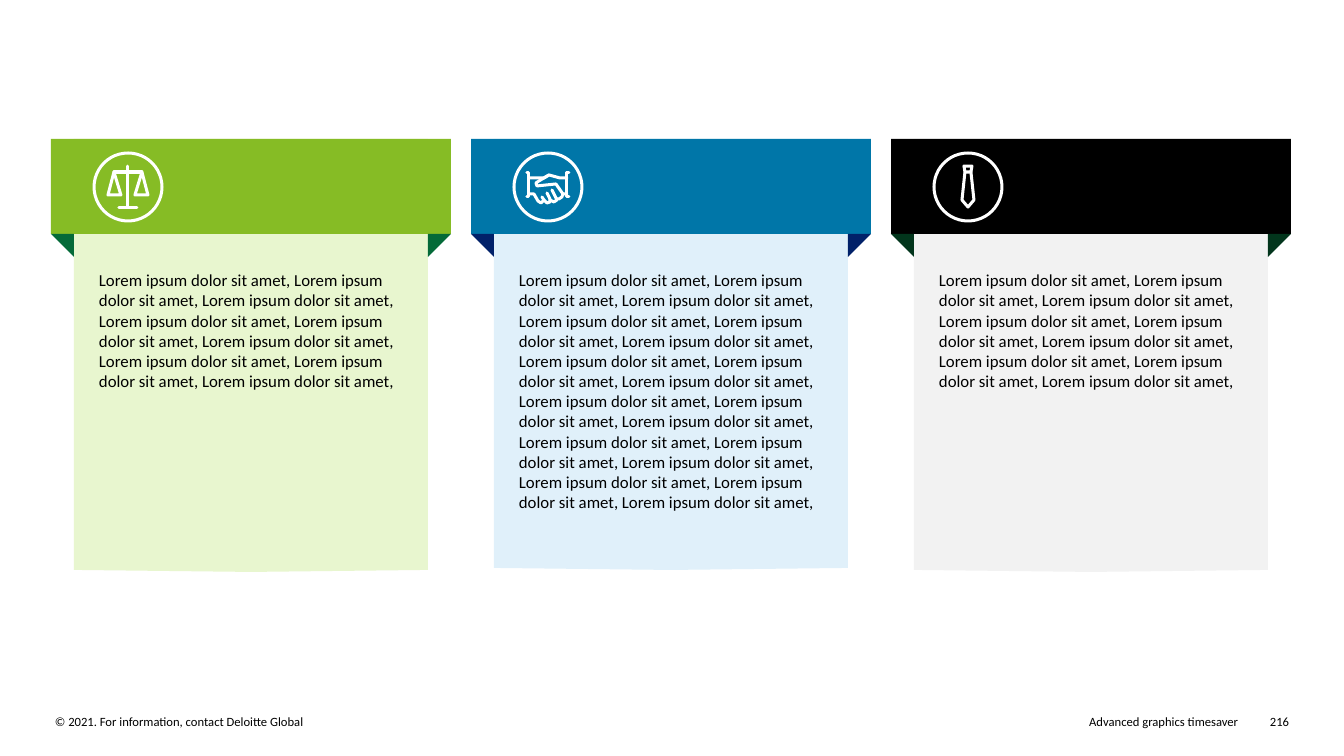
"""Build a slide of three ribbon cards, each with an icon and a block of text."""
from lxml import etree
from pptx import Presentation
from pptx.dml.color import RGBColor
from pptx.enum.shapes import MSO_SHAPE
from pptx.enum.text import PP_ALIGN
from pptx.oxml.ns import qn
from pptx.util import Pt

RECTANGLE, TRIANGLE, OVAL = MSO_SHAPE.RECTANGLE, MSO_SHAPE.RIGHT_TRIANGLE, MSO_SHAPE.OVAL
LEFT, RIGHT = PP_ALIGN.LEFT, PP_ALIGN.RIGHT
SCALE = 9071

THEME = {
    "font": "Calibri",
    "text": "000000",
    "icon": "FFFFFF",
    "body_size": 12,
    "footer_size": 9,
    "green": {"header": "86BC25", "fold": "046A38", "body": "E8F6CF"},
    "blue": {"header": "0076A8", "fold": "012169", "body": "E0F0FA"},
    "black": {"header": "000000", "fold": "02351C", "body": "F2F2F2"},
}

SCALES_ICON = [
    [(-14, -15), (14, -15)],
    [(0, -21), (0, 20)],
    [(-9, 20), (9, 20)],
    [(-14, -15), (-20, 8), (-7, 8), (-14, -15)],
    [(14, -15), (7, 8), (20, 8), (14, -15)],
]
HANDSHAKE_ICON = [
    [(-21, -14), (-19, -14), (-19, 10), (-21, 10)],
    [(21, -14), (19, -14), (19, 10), (21, 10)],
    [(-19, -9), (-4, -9), (1, -12), (12, -9), (19, -9)],
    [(1, -12), (-9, -6), (-12, -4), (-11, -1), (8, -3), (15, 7), (19, 7)],
    [(-19, 7), (-14, 7), (-10, 14), (-7, 16), (-4, 13), (-6, 10)],
    [(-4, 13), (-1, 16), (2, 15), (2, 12), (-1, 6)],
    [(2, 13), (6, 15), (9, 13), (4, 3)],
    [(9, 12), (11, 12), (14, 10), (15, 7)],
]
TIE_ICON = [
    [(-3, -15), (-4, -21), (4, -21), (3, -15), (-3, -15)],
    [(-3, -15), (-6, 13), (0, 20), (6, 13), (3, -15)],
]

PHRASE = "Lorem ipsum dolor sit amet,"
CARDS = [
    ("green", SCALES_ICON, 9, 570),
    ("blue", HANDSHAKE_ICON, 18, 568),
    ("black", TIE_ICON, 9, 570),
]
CARD_LEFT, CARD_PITCH, CARD_WIDTH = 51, 420, 400
HEADER_TOP, HEADER_HEIGHT, FOLD = 139, 95, 23
RING_X, RING_Y, RING_RADIUS, STROKE = 77, 187, 34, 3

deck = Presentation()
deck.slide_width, deck.slide_height = 1344 * SCALE, 756 * SCALE
page = deck.slides.add_slide(deck.slide_layouts[6])


def add_text(text, left, top, width, height, size=THEME["footer_size"], align=LEFT):
    box = page.shapes.add_textbox(*(n * SCALE for n in (left, top, width, height)))
    frame = box.text_frame
    frame.word_wrap = True
    frame.margin_left = frame.margin_right = frame.margin_top = frame.margin_bottom = 0
    para = frame.paragraphs[0]
    para.alignment = align
    span = para.add_run()
    span.text = text
    span.font.name = THEME["font"]
    span.font.size = Pt(size)
    span.font.color.rgb = RGBColor.from_string(THEME["text"])


def paint(shape, color, outlined=False):
    shape.shadow.inherit = False
    ink = shape.line.fill if outlined else shape.fill
    blank = shape.fill if outlined else shape.line.fill
    blank.background()
    ink.solid()
    ink.fore_color.rgb = RGBColor.from_string(color)
    if outlined:
        shape.line.width = STROKE * SCALE
        line = shape.element.spPr.find(qn("a:ln"))
        line.set("cap", "rnd")
        etree.SubElement(line, qn("a:round"))


for index, (name, icon, repeats, bottom) in enumerate(CARDS):
    colors = THEME[name]
    left = CARD_LEFT + CARD_PITCH * index
    inner_right = CARD_WIDTH - FOLD
    header_bottom = HEADER_TOP + HEADER_HEIGHT

    builder = page.shapes.build_freeform(FOLD, HEADER_TOP, scale=SCALE)
    builder.add_line_segments([
        (inner_right, HEADER_TOP), (inner_right, bottom),
        (CARD_WIDTH // 2, bottom + 2), (FOLD, bottom),
    ])
    paint(builder.convert_to_shape(left * SCALE, 0), colors["body"])

    header = page.shapes.add_shape(
        RECTANGLE, left * SCALE, HEADER_TOP * SCALE, CARD_WIDTH * SCALE, HEADER_HEIGHT * SCALE)
    paint(header, colors["header"])

    for offset, flips in ((inner_right, ["flipV"]), (0, ["flipH", "flipV"])):
        fold = page.shapes.add_shape(
            TRIANGLE, (left + offset) * SCALE, header_bottom * SCALE, FOLD * SCALE, FOLD * SCALE)
        paint(fold, colors["fold"])
        for flip in flips:
            fold.element.spPr.find(qn("a:xfrm")).set(flip, "1")

    add_text(" ".join([PHRASE] * repeats), left + 48, 270, 302, 14 * repeats,
             size=THEME["body_size"])

    ring = page.shapes.add_shape(
        OVAL, (left + RING_X - RING_RADIUS) * SCALE, (RING_Y - RING_RADIUS) * SCALE,
        2 * RING_RADIUS * SCALE, 2 * RING_RADIUS * SCALE)
    paint(ring, THEME["icon"], outlined=True)

    builder = page.shapes.build_freeform(*icon[0][0], scale=SCALE)
    for stroke in icon:
        builder.move_to(*stroke[0])
        builder.add_line_segments(stroke[1:], close=False)
    drawing = builder.convert_to_shape((left + RING_X) * SCALE, RING_Y * SCALE)
    paint(drawing, THEME["icon"], outlined=True)

add_text("© 2021. For information, contact Deloitte Global", 55, 714, 591, 15)
add_text("Advanced graphics timesaver", 699, 714, 539, 15, align=RIGHT)
add_text("216", 1255, 714, 34, 15, align=RIGHT)

deck.save("out.pptx")
